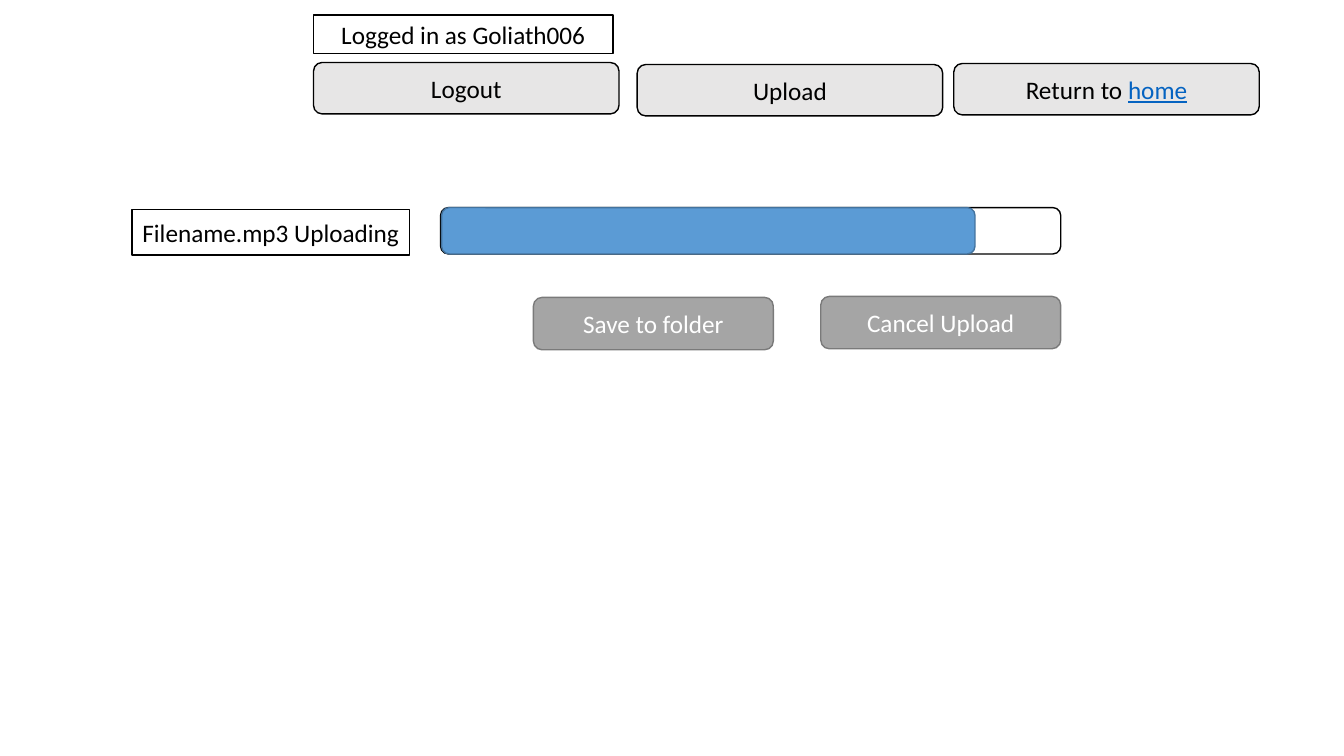
from dataclasses import dataclass

import pptx
import pptx.dml.color
import pptx.enum.shapes
import pptx.enum.text
import pptx.util
from pptx.util import Inches


@dataclass(frozen=True)
class Theme:
    font: str = "Calibri"
    text_size: int = 18
    line_width: int = 1
    white: str = "FFFFFF"
    black: str = "000000"
    nav_fill: str = "E7E6E6"
    link: str = "0563C1"
    progress_fill: str = "5B9BD5"
    progress_line: str = "43739E"
    action_fill: str = "A5A5A5"
    action_line: str = "7A7A7A"


THEME = Theme()
RECTANGLE = pptx.enum.shapes.MSO_SHAPE.RECTANGLE
ROUNDED = pptx.enum.shapes.MSO_SHAPE.ROUNDED_RECTANGLE


def rgb(color):
    return pptx.dml.color.RGBColor.from_string(color)


def add_box(page, kind, left, top, width, height, fill, line):
    box = page.shapes.add_shape(
        kind, Inches(left), Inches(top), Inches(width), Inches(height))
    box.shadow.inherit = False
    box.fill.solid()
    box.fill.fore_color.rgb = rgb(fill)
    box.line.color.rgb = rgb(line)
    box.line.width = pptx.util.Pt(THEME.line_width)
    return box


def add_span(para, text, color, underline=None):
    span = para.add_run()
    span.text = text
    span.font.name = THEME.font
    span.font.size = pptx.util.Pt(THEME.text_size)
    span.font.color.rgb = rgb(color)
    span.font.underline = underline


def write_centred(box, text, color):
    frame = box.text_frame
    frame.word_wrap = True
    frame.vertical_anchor = pptx.enum.text.MSO_ANCHOR.MIDDLE
    para = frame.paragraphs[0]
    para.alignment = pptx.enum.text.PP_ALIGN.CENTER
    add_span(para, text, color)
    return para


def add_label(page, text, left, top, width, height):
    box = add_box(page, RECTANGLE, left, top, width, height,
                  THEME.white, THEME.black)
    write_centred(box, text, THEME.black)


def add_nav_button(page, text, left, top):
    box = add_box(page, ROUNDED, left, top, 3.03, 0.51,
                  THEME.nav_fill, THEME.black)
    return write_centred(box, text, THEME.black)


def add_action_button(page, text, left, top):
    box = add_box(page, ROUNDED, left, top, 2.38, 0.52,
                  THEME.action_fill, THEME.action_line)
    write_centred(box, text, THEME.white)


def add_progress_bar(page, left, top, width, height, done_width):
    add_box(page, ROUNDED, left, top, width, height, THEME.white, THEME.black)
    add_box(page, ROUNDED, left + 0.01, top, done_width, height,
            THEME.progress_fill, THEME.progress_line)


def main():
    deck = pptx.Presentation()
    deck.slide_width = Inches(13.33)
    deck.slide_height = Inches(7.5)
    page = deck.slides.add_slide(deck.slide_layouts[6])

    # Page panel
    add_box(page, RECTANGLE, 1, 0, 11.57, 7.5, THEME.white, THEME.white)

    # Account and navigation
    home_para = add_nav_button(page, "Return to ", 9.46, 0.63)
    add_span(home_para, "home", THEME.link, underline=True)
    add_label(page, "Logged in as Goliath006", 3.11, 0.15, 2.97, 0.38)
    add_nav_button(page, "Upload", 6.32, 0.64)
    add_nav_button(page, "Logout", 3.11, 0.62)

    # Upload progress
    add_label(page, "Filename.mp3 Uploading", 1.31, 2.08, 2.75, 0.45)
    add_progress_bar(page, 4.37, 2.06, 6.15, 0.46, done_width=5.29)

    # Upload actions
    add_action_button(page, "Save to folder", 5.29, 2.95)
    add_action_button(page, "Cancel Upload", 8.14, 2.94)

    deck.save("out.pptx")


if __name__ == "__main__":
    main()
